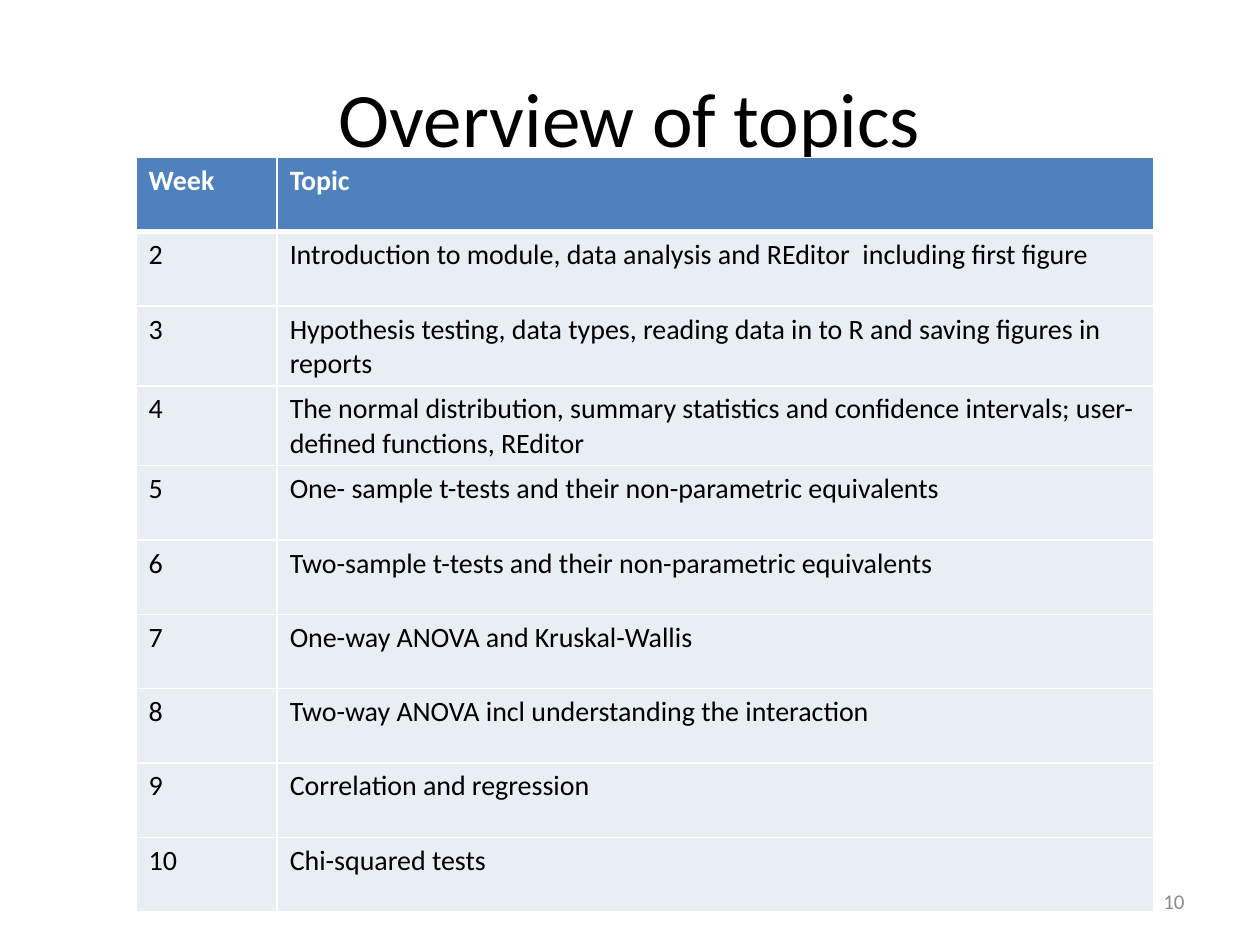
import pptx
import pptx.dml.color
import pptx.enum.text
import pptx.oxml
import pptx.oxml.ns
import pptx.util
from pptx.util import Inches

TITLE = "Overview of topics"
PAGE_NUMBER = "10"
HEADER = ("Week", "Topic")
TOPICS = [
    ("2", "Introduction to module, data analysis and REditor  including first figure"),
    ("3", "Hypothesis testing, data types, reading data in to R and saving figures in reports"),
    ("4", "The normal distribution, summary statistics and confidence intervals; "
          "user-defined functions, REditor"),
    ("5", "One- sample t-tests and their non-parametric equivalents"),
    ("6", "Two-sample t-tests and their non-parametric equivalents"),
    ("7", "One-way ANOVA and Kruskal-Wallis"),
    ("8", "Two-way ANOVA incl understanding the interaction"),
    ("9", "Correlation and regression"),
    ("10", "Chi-squared tests"),
]
COLUMN_WIDTHS = (1.12, 6.96)
ROW_HEIGHT = 0.59

FONT = "Calibri"
BLACK, WHITE, GREY = "000000", "FFFFFF", "8C8C8C"
HEADER_FILL, BODY_FILL = "4F81BD", "E9EDF4"
ALIGN = pptx.enum.text.PP_ALIGN
ANCHOR = pptx.enum.text.MSO_ANCHOR


def rgb(value):
    return pptx.dml.color.RGBColor.from_string(value)


def write(tf, text, size=16, color=BLACK, bold=False, align=ALIGN.LEFT):
    p = tf.paragraphs[0]
    p.alignment = align
    r = p.add_run()
    r.text = text
    r.font.name = FONT
    r.font.size = pptx.util.Pt(size)
    r.font.bold = bold
    r.font.color.rgb = rgb(color)


def add_text(slide, box, text, **text_format):
    sp = slide.shapes.add_textbox(*map(Inches, box))
    tf = sp.text_frame
    tf.word_wrap = True
    tf.vertical_anchor = ANCHOR.MIDDLE
    write(tf, text, **text_format)


def set_borders(cell, bottom=1):
    """Draw white cell borders, 1 pt wide except where bottom says otherwise."""
    tc_pr = cell._tc.get_or_add_tcPr()
    widths = {"lnL": 1, "lnR": 1, "lnT": 1, "lnB": bottom}
    for i, (tag, width) in enumerate(widths.items()):
        tc_pr.insert(i, pptx.oxml.parse_xml(
            f'<a:{tag} {pptx.oxml.ns.nsdecls("a")} w="{pptx.util.Pt(width)}">'
            f'<a:solidFill><a:srgbClr val="{WHITE}"/></a:solidFill></a:{tag}>'))


def add_topic_table(slide, left, top):
    rows = [HEADER] + TOPICS
    table = slide.shapes.add_table(
        len(rows), len(HEADER), Inches(left), Inches(top),
        Inches(sum(COLUMN_WIDTHS)), Inches(ROW_HEIGHT * len(rows))).table
    for column, width in zip(table.columns, COLUMN_WIDTHS):
        column.width = Inches(width)
    for i, row in enumerate(rows):
        table.rows[i].height = Inches(ROW_HEIGHT)
        is_header = i == 0
        for j, text in enumerate(row):
            cell = table.cell(i, j)
            cell.fill.solid()
            cell.fill.fore_color.rgb = rgb(HEADER_FILL if is_header else BODY_FILL)
            write(cell.text_frame, text, bold=is_header,
                  color=WHITE if is_header else BLACK)
            set_borders(cell, bottom=3 if is_header else 1)
            if i == 1:
                # The header's thick rule is shared with the first body row.
                top_line = cell._tc.tcPr.find(pptx.oxml.ns.qn("a:lnT"))
                top_line.set("w", str(pptx.util.Pt(3)))


def main():
    prs = pptx.Presentation()
    prs.slide_width, prs.slide_height = Inches(10), Inches(7.5)
    slide = prs.slides.add_slide(prs.slide_layouts[6])
    add_text(slide, (0.5, 0.3, 9, 1.25), TITLE, size=44, align=ALIGN.CENTER)
    add_topic_table(slide, 1.08, 1.25)
    add_text(slide, (7.17, 6.95, 2.33, 0.4), PAGE_NUMBER, size=12, color=GREY,
             align=ALIGN.RIGHT)
    prs.save("out.pptx")


if __name__ == "__main__":
    main()
